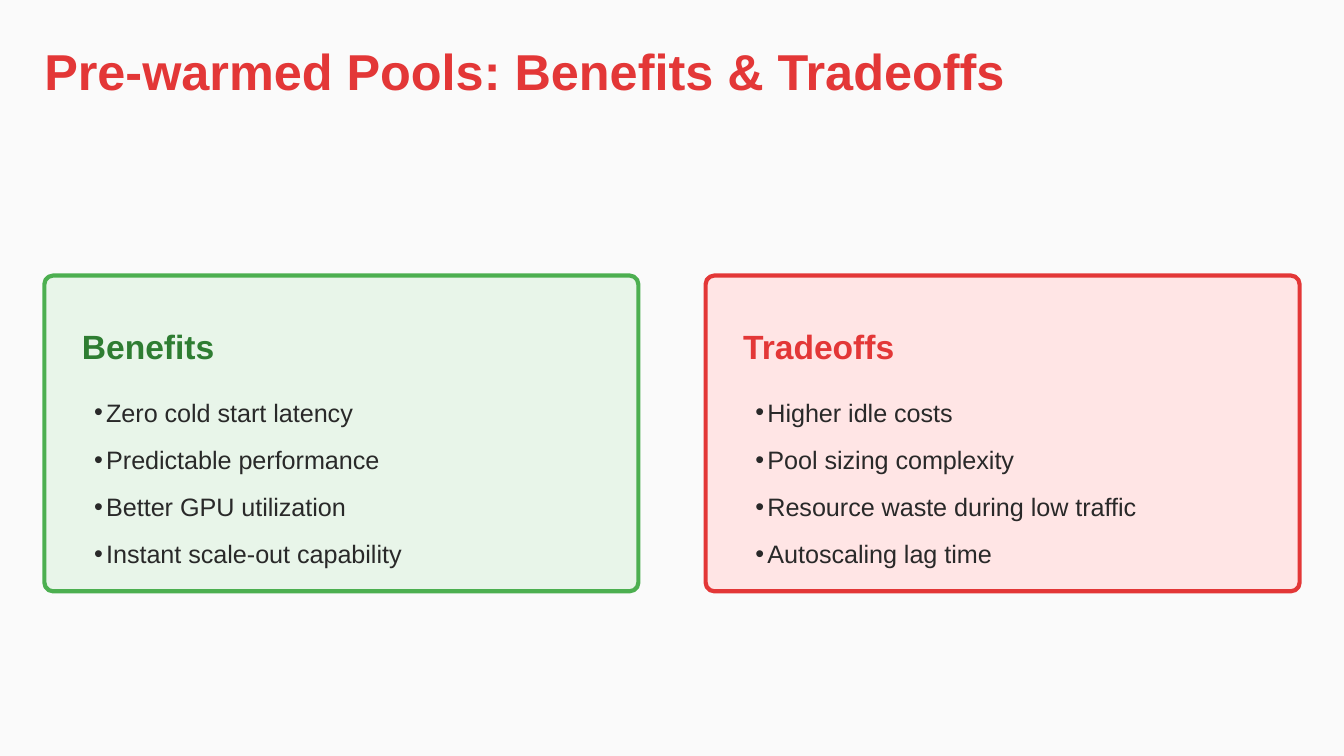
import pptx
import pptx.util
import pptx.dml.color
import pptx.enum.shapes
import pptx.oxml.ns
from lxml import etree

Inches = pptx.util.Inches
RGBColor = pptx.dml.color.RGBColor

PAPER = RGBColor(0xFA, 0xFA, 0xFA)
INK = RGBColor(0x29, 0x29, 0x29)
RED = RGBColor(0xE3, 0x37, 0x37)
PINK = RGBColor(0xFF, 0xE5, 0xE5)
GREEN = RGBColor(0x4C, 0xAF, 0x50)
DARK_GREEN = RGBColor(0x2E, 0x7D, 0x32)
MINT = RGBColor(0xE8, 0xF5, 0xE9)

CARDS = [
    ("Benefits", DARK_GREEN, GREEN, MINT,
     ["Zero cold start latency", "Predictable performance",
      "Better GPU utilization", "Instant scale-out capability"]),
    ("Tradeoffs", RED, RED, PINK,
     ["Higher idle costs", "Pool sizing complexity",
      "Resource waste during low traffic", "Autoscaling lag time"]),
]


def add_bullet(para):
    """Give the paragraph a hanging round bullet."""
    props = para._p.get_or_add_pPr()
    props.set("marL", str(Inches(0.09)))
    props.set("indent", str(-Inches(0.09)))
    color = etree.SubElement(props, pptx.oxml.ns.qn("a:buClr"))
    etree.SubElement(color, pptx.oxml.ns.qn("a:srgbClr"), val=str(INK))
    etree.SubElement(props, pptx.oxml.ns.qn("a:buFont"), typeface="Arial")
    etree.SubElement(props, pptx.oxml.ns.qn("a:buChar"), char="•")


def add_text(page, left, top, width, height, lines, size, color, spacing,
             bold=False, bullets=False):
    """Add a text box with one paragraph for each line."""
    box = page.shapes.add_textbox(Inches(left), Inches(top), Inches(width), Inches(height))
    frame = box.text_frame
    frame.word_wrap = True
    frame.margin_left = Inches(0.09 if bullets else 0)
    frame.margin_top = frame.margin_right = frame.margin_bottom = 0
    frame.text = "\n".join(lines)
    for para in frame.paragraphs:
        para.line_spacing = spacing
        if bullets:
            add_bullet(para)
        for span in para.runs:
            span.font.name = "Arial"
            span.font.size = pptx.util.Pt(size)
            span.font.bold = bold
            span.font.color.rgb = color


def add_card(page, left, top, width, height, heading, heading_color, border, fill, points):
    """Add a rounded card with a heading and a bulleted list."""
    card = page.shapes.add_shape(pptx.enum.shapes.MSO_SHAPE.ROUNDED_RECTANGLE,
                                 Inches(left), Inches(top), Inches(width), Inches(height))
    card.adjustments[0] = 0.028
    card.shadow.inherit = False
    card.fill.solid()
    card.fill.fore_color.rgb = fill
    card.line.color.rgb = border
    card.line.width = pptx.util.Pt(2.25)
    inner = left + 0.28
    add_text(page, inner, top + 0.28, width - 0.49, 0.33, [heading], 18, heading_color,
             1.33, bold=True)
    add_text(page, inner, top + 0.78, width - 0.57, 1.29, points, 13.5, INK,
             1.56, bullets=True)


def main():
    """Build the slide and save the deck."""
    deck = pptx.Presentation()
    deck.slide_width = Inches(10)
    deck.slide_height = deck.slide_width * 9 // 16
    page = deck.slides.add_slide(deck.slide_layouts[6])
    page.background.fill.solid()
    page.background.fill.fore_color.rgb = PAPER
    add_text(page, 0.33, 0.25, 7.3, 0.42, ["Pre-warmed Pools: Benefits & Tradeoffs"],
             27, RED, 1.11, bold=True)
    for index, card in enumerate(CARDS):
        add_card(page, 0.33 + index * 4.92, 2.05, 4.42, 2.35, *card)
    deck.save("out.pptx")


if __name__ == "__main__":
    main()
